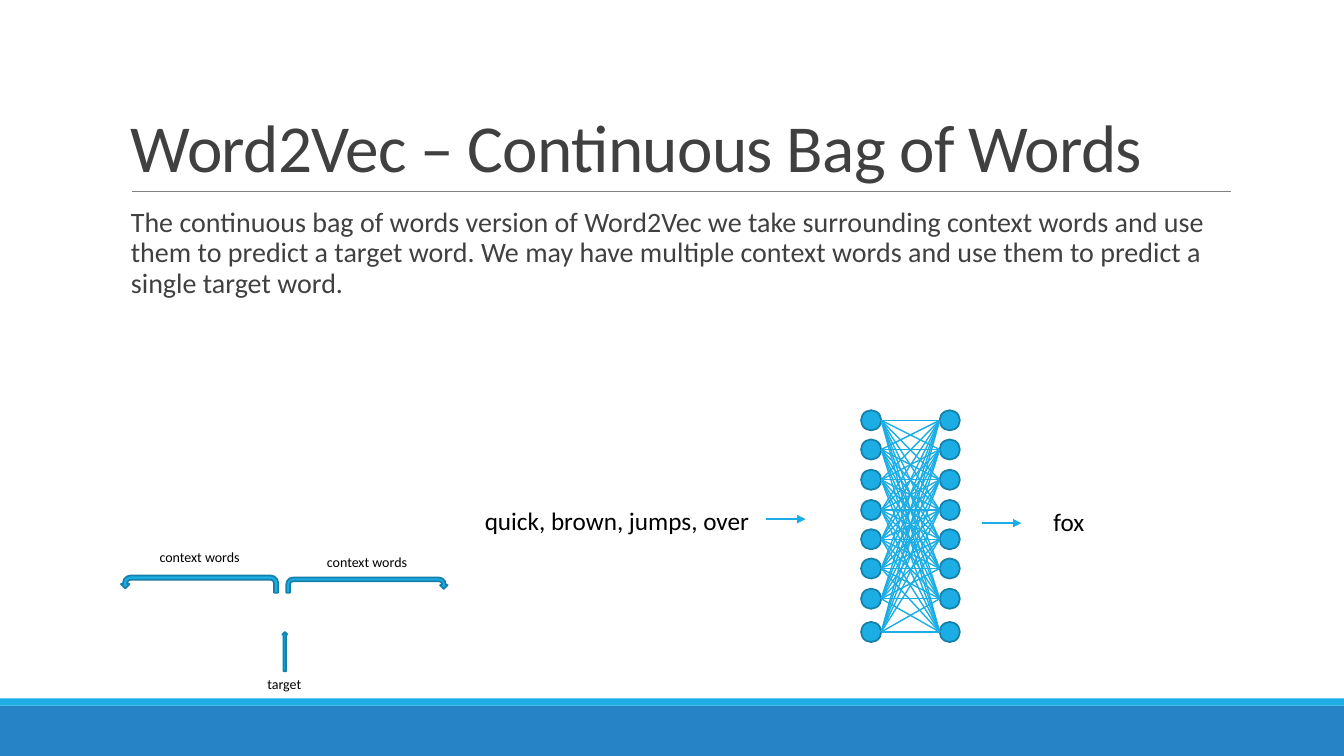
"""Build a slide that explains the continuous bag of words model."""
import dataclasses
import itertools
import typing

import lxml.etree
import pptx
import pptx.dml.color
import pptx.enum.shapes
import pptx.enum.text
import pptx.oxml.ns
import pptx.util

EMU_PER_PX = 9144
SHAPE = pptx.enum.shapes.MSO_SHAPE
ALIGN = pptx.enum.text.PP_ALIGN
ANCHOR = pptx.enum.text.MSO_ANCHOR


@dataclasses.dataclass(frozen=True)
class Theme:
    font: str = "Calibri"
    accent: str = "1CADE4"
    outline: str = "1580A9"
    footer: str = "2683C6"
    rule: str = "808080"
    heading: str = "404040"
    label: str = "000000"
    title_pt: int = 48
    body_pt: int = 20
    word_pt: int = 18
    caption_pt: int = 10
    outline_pt: float = 1.25
    link_pt: float = 1
    rule_pt: float = 0.5


THEME = Theme()


class Box(typing.NamedTuple):
    x: int
    y: int
    w: int
    h: int


class Point(typing.NamedTuple):
    x: int
    y: int


@dataclasses.dataclass(frozen=True)
class Block:
    kind: SHAPE
    box: Box
    fill: str = THEME.accent
    outline: str | None = THEME.outline
    flip: bool = False


@dataclasses.dataclass(frozen=True)
class Line:
    start: Point
    end: Point
    color: str = THEME.accent
    width: float = THEME.link_pt
    arrow: bool = False


@dataclasses.dataclass(frozen=True)
class Label:
    text: str
    box: Box
    size: int
    color: str = THEME.label
    align: ALIGN = ALIGN.LEFT
    anchor: ANCHOR = ANCHOR.TOP
    right_inset: int = 10
    line_spacing: float = 1.0
    before: int = 0
    after: int = 0
    tracking: int = 0


TITLE = Label("Word2Vec – Continuous Bag of Words", Box(120, 31, 1100, 159),
              THEME.title_pt, THEME.heading, anchor=ANCHOR.BOTTOM,
              line_spacing=0.85, tracking=-50)
BODY = Label(
    "The continuous bag of words version of Word2Vec we take surrounding context "
    "words and use them to predict a target word. We may have multiple context "
    "words and use them to predict a single target word.",
    Box(120, 202, 1100, 440), THEME.body_pt, THEME.heading,
    right_inset=0, line_spacing=0.9, before=12, after=2)
CAPTIONS = [
    Label(text, Box(x, y, 114, 27), THEME.caption_pt, align=ALIGN.CENTER)
    for text, x, y in (("context words", 141, 539),
                       ("context words", 307, 544),
                       ("target", 225, 665))
]
WORDS = [
    Label("quick, brown, jumps, over", Box(471, 496, 286, 40), THEME.word_pt),
    Label("fox", Box(1035, 497, 286, 40), THEME.word_pt),
]
FOOTER = [
    Block(SHAPE.RECTANGLE, Box(0, 700, 1333, 50), THEME.footer, None),
    Block(SHAPE.RECTANGLE, Box(0, 693, 1333, 7), THEME.accent, None),
]
CONTEXT_ARROWS = [
    Block(SHAPE.U_TURN_ARROW, Box(284, 573, 160, 15)),
    Block(SHAPE.U_TURN_ARROW, Box(120, 571, 156, 17), flip=True),
    Block(SHAPE.UP_ARROW, Box(280, 627, 5, 39)),
]
TITLE_RULE = Line(Point(131, 190), Point(1221, 190), THEME.rule, THEME.rule_pt)
FLOW_ARROWS = [Line(Point(x, y), Point(x + 39, y), arrow=True)
               for x, y in ((760, 515), (974, 519))]

NODE = 20
INPUT_X, OUTPUT_X = 854, 932
NODE_YS = [round(417 + 29.5 * i) for i in range(7)] + [627]
UNLINKED = (7, 5)


def px(n: int) -> pptx.util.Emu:
    """Turn px into EMU."""
    return pptx.util.Emu(n * EMU_PER_PX)


def rgb(color: str) -> pptx.dml.color.RGBColor:
    """Turn a hex string into a colour."""
    return pptx.dml.color.RGBColor.from_string(color)


def draw_block(slide: typing.Any, block: Block) -> None:
    """Draw a filled preset shape."""
    sp = slide.shapes.add_shape(block.kind, *map(px, block.box))
    sp.shadow.inherit = False
    sp.fill.solid()
    sp.fill.fore_color.rgb = rgb(block.fill)
    if block.outline:
        sp.line.color.rgb = rgb(block.outline)
        sp.line.width = pptx.util.Pt(THEME.outline_pt)
    else:
        sp.line.fill.background()
    if block.flip:
        sp.element.spPr.get_or_add_xfrm().set("flipH", "1")


def draw_line(slide: typing.Any, line: Line) -> None:
    """Draw a straight connector, with an arrowhead if asked."""
    straight = pptx.enum.shapes.MSO_CONNECTOR.STRAIGHT
    cxn = slide.shapes.add_connector(straight, *map(px, line.start + line.end))
    cxn.line.color.rgb = rgb(line.color)
    cxn.line.width = pptx.util.Pt(line.width)
    qn = pptx.oxml.ns.qn
    props = cxn.element.spPr
    if line.arrow:
        lxml.etree.SubElement(props.find(qn("a:ln")), qn("a:tailEnd"), type="triangle")
    lxml.etree.SubElement(props, qn("a:effectLst"))


def draw_label(slide: typing.Any, label: Label) -> None:
    """Draw a wrapped text box of one paragraph."""
    sp = slide.shapes.add_textbox(*map(px, label.box))
    tf = sp.text_frame
    tf.word_wrap = True
    tf.vertical_anchor = label.anchor
    tf.margin_right = px(label.right_inset)
    p = tf.paragraphs[0]
    p.text = label.text
    p.alignment = label.align
    p.line_spacing = label.line_spacing
    p.space_before = pptx.util.Pt(label.before)
    p.space_after = pptx.util.Pt(label.after)
    p.font.name = THEME.font
    p.font.size = pptx.util.Pt(label.size)
    p.font.color.rgb = rgb(label.color)
    if label.tracking:
        for r in sp.element.iter(pptx.oxml.ns.qn("a:r")):
            r.get_or_add_rPr().set("spc", str(label.tracking))


def draw_network(slide: typing.Any) -> None:
    """Draw two layers of nodes and the links between them."""
    for x, y in itertools.product((INPUT_X, OUTPUT_X), NODE_YS):
        draw_block(slide, Block(SHAPE.OVAL, Box(x, y - NODE // 2, NODE, NODE)))
    for (i, y1), (j, y2) in itertools.product(enumerate(NODE_YS), repeat=2):
        if (i, j) != UNLINKED:
            draw_line(slide, Line(Point(INPUT_X + NODE, y1), Point(OUTPUT_X, y2)))


def main() -> None:
    """Build and save the slide."""
    prs = pptx.Presentation()
    prs.slide_width, prs.slide_height = px(1333), px(750)
    s = prs.slides.add_slide(prs.slide_layouts[6])
    for block in FOOTER + CONTEXT_ARROWS:
        draw_block(s, block)
    draw_network(s)
    for line in [TITLE_RULE, *FLOW_ARROWS]:
        draw_line(s, line)
    for label in [TITLE, BODY, *CAPTIONS, *WORDS]:
        draw_label(s, label)
    prs.save("out.pptx")


if __name__ == "__main__":
    main()
